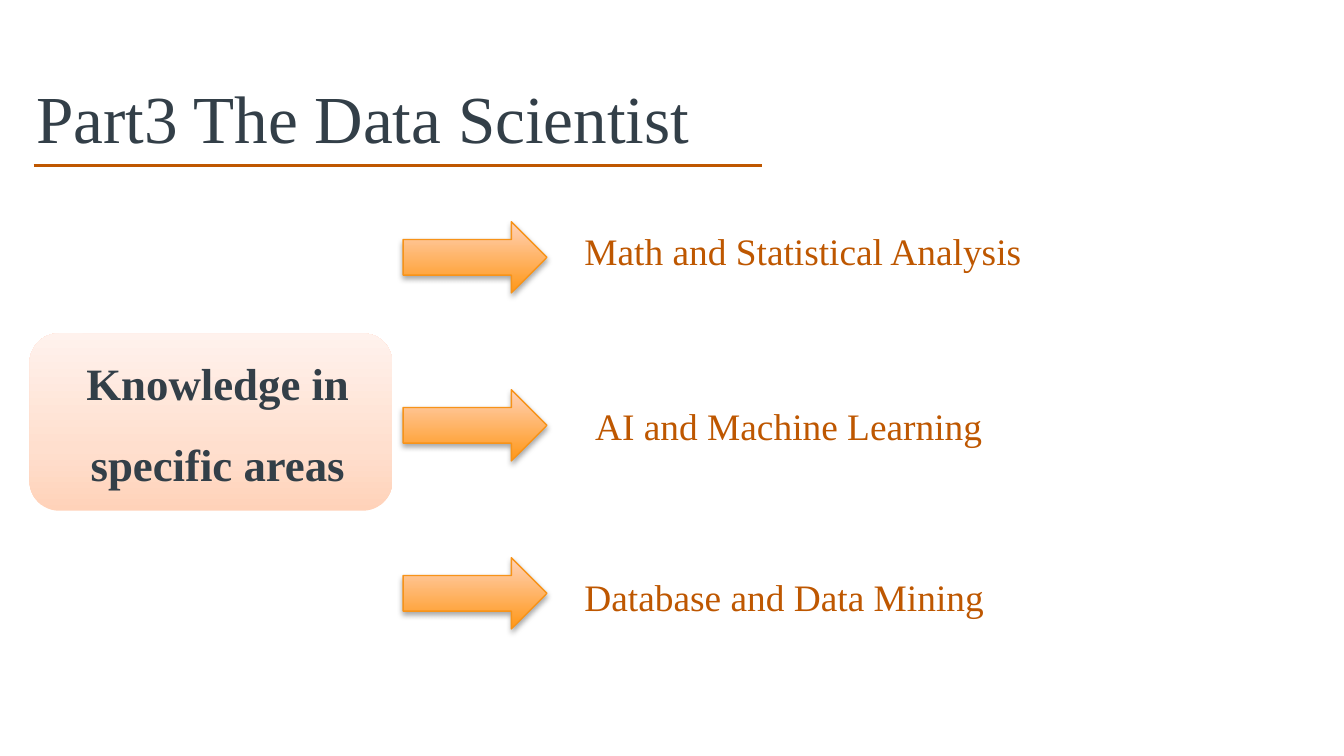
from copy import deepcopy

from lxml import etree
from pptx import Presentation
from pptx.dml.color import RGBColor
from pptx.enum import shapes, text
from pptx.oxml import ns
from pptx.util import Inches, Pt

INK, RUST = "333F48", "BF5700"
hue = RGBColor.from_string


def write(frame, words, size=20, color="BE5700", bold=False,
          align=text.PP_ALIGN.LEFT, space=None, anchor=text.MSO_ANCHOR.TOP):
    frame.word_wrap = True
    frame.auto_size = text.MSO_AUTO_SIZE.NONE
    frame.vertical_anchor = anchor
    para = frame.paragraphs[0]
    para.text = words
    para.alignment = align
    para.line_spacing = space
    font = para.runs[0].font
    font.name, font.size, font.bold = "Times New Roman", Pt(size), bold
    font.color.rgb = hue(color)


def shade(shape, stops):
    """Fill a shape with (position, colour) stops that run upwards."""
    shape.shadow.inherit = False
    shape.fill.gradient()
    shape.fill.gradient_angle = 90
    group = shape._element.spPr.find(".//" + ns.qn("a:gsLst"))
    while len(group) < len(stops):
        group.append(deepcopy(group[0]))
    for stop, (place, color) in zip(shape.fill.gradient_stops, stops):
        stop.position = place
        stop.color.rgb = hue(color)


# A 16:9 slide
deck = Presentation()
deck.slide_width, deck.slide_height = Inches(10), Inches(10 * 9 / 16)
slide = deck.slides.add_slide(deck.slide_layouts[5])
parts = slide.shapes

# Title and its rule
title = parts.title
title.left, title.top = Inches(0.17), Inches(0.4)
title.width, title.height = Inches(9), Inches(0.94)
write(title.text_frame, "Part3 The Data Scientist", size=36, color=INK,
      anchor=text.MSO_ANCHOR.MIDDLE)

rule = parts.add_connector(shapes.MSO_CONNECTOR.STRAIGHT, Inches(0.25),
                           Inches(1.23), Inches(5.67), Inches(1.23))
rule.line.color.rgb = hue(RUST)
rule.line.width = Pt(1.5)
etree.SubElement(rule._element.spPr, ns.qn("a:effectLst"))

# Topic card with its label
card = parts.add_shape(shapes.MSO_SHAPE.ROUNDED_RECTANGLE, Inches(0.22),
                       Inches(2.48), Inches(2.7), Inches(1.32))
shade(card, [(0, "FFD2B9"), (0.35, "FFDFCE"), (1, "FFF2ED")])
card.line.fill.background()
label = parts.add_textbox(Inches(0.33), Inches(2.4), Inches(2.58), Inches(1.19))
write(label.text_frame, "Knowledge in specific areas", size=24, color=INK,
      bold=True, align=text.PP_ALIGN.CENTER, space=1.5)

# One arrow and one text for each area
areas = [("Math and Statistical Analysis", 4.25, 1.65, 5.37, 0.5),
         ("AI and Machine Learning", 4.33, 2.95, 5.56, 0.44),
         ("Database and Data Mining", 4.25, 4.22, 5.56, 0.44)]
for row, (words, *place) in enumerate(areas):
    arrow = parts.add_shape(shapes.MSO_SHAPE.RIGHT_ARROW, Inches(3),
                            Inches(1.65 + 1.25 * row), Inches(1.07), Inches(0.53))
    shade(arrow, [(0, "FF9717"), (1, "FFD2B9")])
    arrow.line.color.rgb = hue("F79319")
    arrow.line.width = Pt(0.75)

    # Soft shadow below the arrow
    glow = etree.SubElement(
        arrow._element.spPr.find(ns.qn("a:effectLst")), ns.qn("a:outerShdw"),
        blurRad=str(Pt(3.1)), dist=str(Pt(1.8)), dir="5400000", rotWithShape="0")
    tone = etree.SubElement(glow, ns.qn("a:srgbClr"), val="000000")
    etree.SubElement(tone, ns.qn("a:alpha"), val="35000")

    box = parts.add_textbox(*map(Inches, place))
    write(box.text_frame, words)

deck.save("out.pptx")
